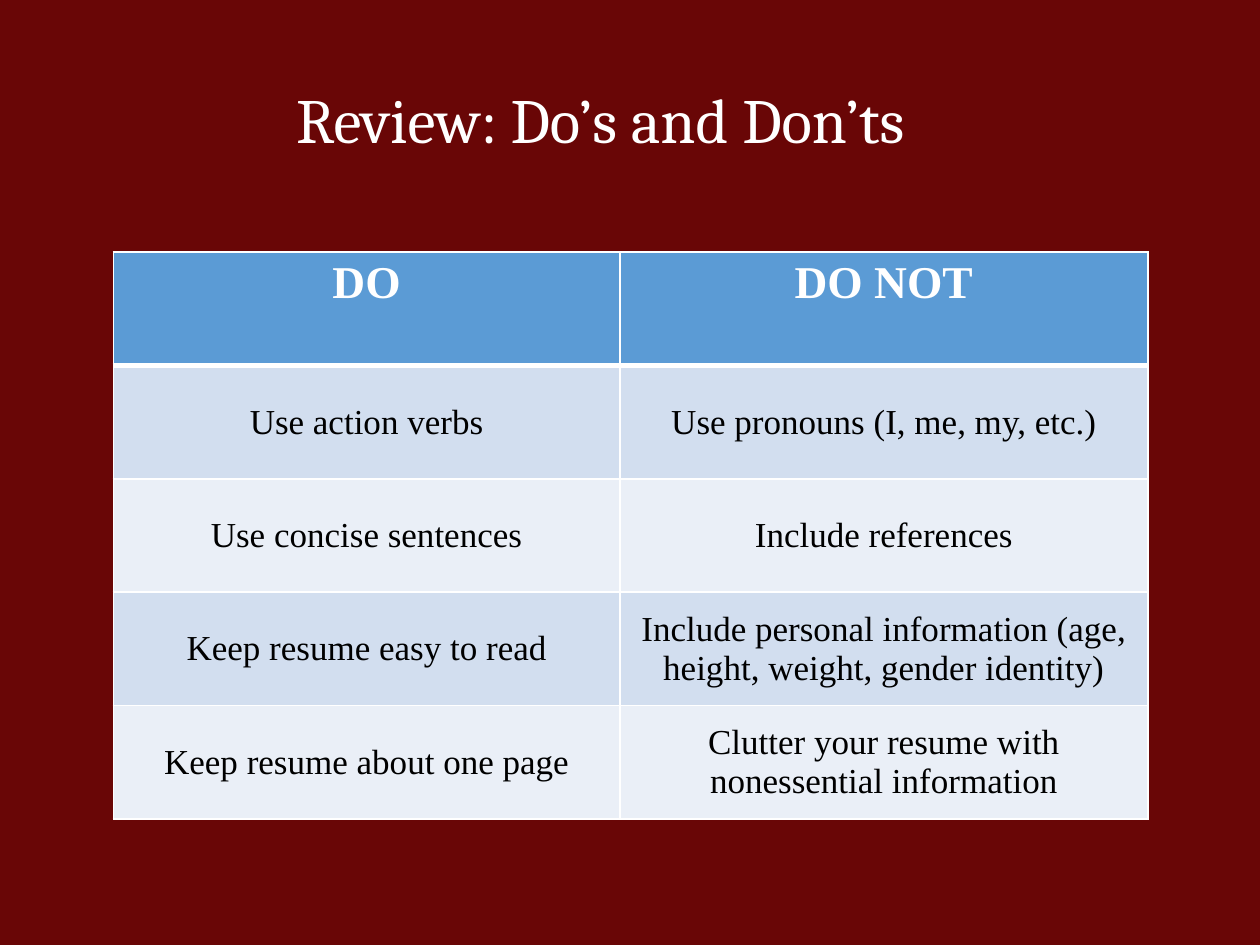
from lxml.etree import SubElement
from pptx import Presentation
from pptx.dml.color import RGBColor
from pptx.enum.text import MSO_ANCHOR as ANCHOR, PP_ALIGN as ALIGN
from pptx.oxml.ns import qn
from pptx.util import Inches, Pt

TITLE = "Review: Do’s and Don’ts"
ROWS = [
    ("DO", "DO NOT"),
    ("Use action verbs", "Use pronouns (I, me, my, etc.)"),
    ("Use concise sentences", "Include references"),
    ("Keep resume easy to read",
     "Include personal information (age, height, weight, gender identity)"),
    ("Keep resume about one page",
     "Clutter your resume with nonessential information"),
]
COL_WIDTHS = (4.02, 4.19)
ROW_HEIGHT = 0.9
BACKGROUND, WHITE, BLACK = "690606", "FFFFFF", "000000"
HEADER_FILL, BANDS = "5B9BD5", ("D2DEEF", "EAEFF7")
TITLE_FONT = {"name": "Cambria", "size": Pt(36), "bold": False}
HEADER_FONT = {"name": "Times New Roman", "size": Pt(26), "bold": True}
BODY_FONT = {"name": "Times New Roman", "size": Pt(20), "bold": False}


def paint(fill, color):
    fill.solid()
    fill.fore_color.rgb = RGBColor.from_string(color)


def write(tf, text, font, color, align):
    p = tf.paragraphs[0]
    p.alignment = align
    r = p.add_run()
    r.text = text
    for name, value in font.items():
        setattr(r.font, name, value)
    r.font.color.rgb = RGBColor.from_string(color)
    return p


def set_borders(cell, widths):
    tc_pr = cell._tc.get_or_add_tcPr()
    for side, width in widths.items():
        ln = SubElement(tc_pr, qn(f"a:ln{side}"), w=str(Pt(width)))
        fill = SubElement(ln, qn("a:solidFill"))
        SubElement(fill, qn("a:srgbClr"), val=WHITE)


def add_title(s):
    sp = s.shapes.title
    sp.left, sp.top, sp.width, sp.height = map(Inches, (2.25, 0.25, 5.66, 1.45))
    sp.text_frame.vertical_anchor = ANCHOR.MIDDLE
    p = write(sp.text_frame, TITLE, TITLE_FONT, WHITE, ALIGN.LEFT)
    p.line_spacing = 0.9


def add_review_table(s):
    table = s.shapes.add_table(
        len(ROWS), len(COL_WIDTHS), Inches(0.9), Inches(2),
        Inches(sum(COL_WIDTHS)), Inches(ROW_HEIGHT * len(ROWS))).table
    for column, width in zip(table.columns, COL_WIDTHS):
        column.width = Inches(width)
    for i, texts in enumerate(ROWS):
        table.rows[i].height = Inches(ROW_HEIGHT)
        header = i == 0
        borders = {"L": 1, "R": 1, "T": 3 if i == 1 else 1, "B": 3 if header else 1}
        for j, text in enumerate(texts):
            cell = table.cell(i, j)
            set_borders(cell, borders)
            paint(cell.fill, HEADER_FILL if header else BANDS[(i - 1) % 2])
            cell.vertical_anchor = ANCHOR.TOP if header else ANCHOR.MIDDLE
            write(cell.text_frame, text, HEADER_FONT if header else BODY_FONT,
                  WHITE if header else BLACK, ALIGN.CENTER)


def main():
    prs = Presentation()
    prs.slide_width, prs.slide_height = Inches(10), Inches(7.5)
    s = prs.slides.add_slide(prs.slide_layouts[5])
    paint(s.background.fill, BACKGROUND)
    add_title(s)
    add_review_table(s)
    prs.save("out.pptx")


if __name__ == "__main__":
    main()
